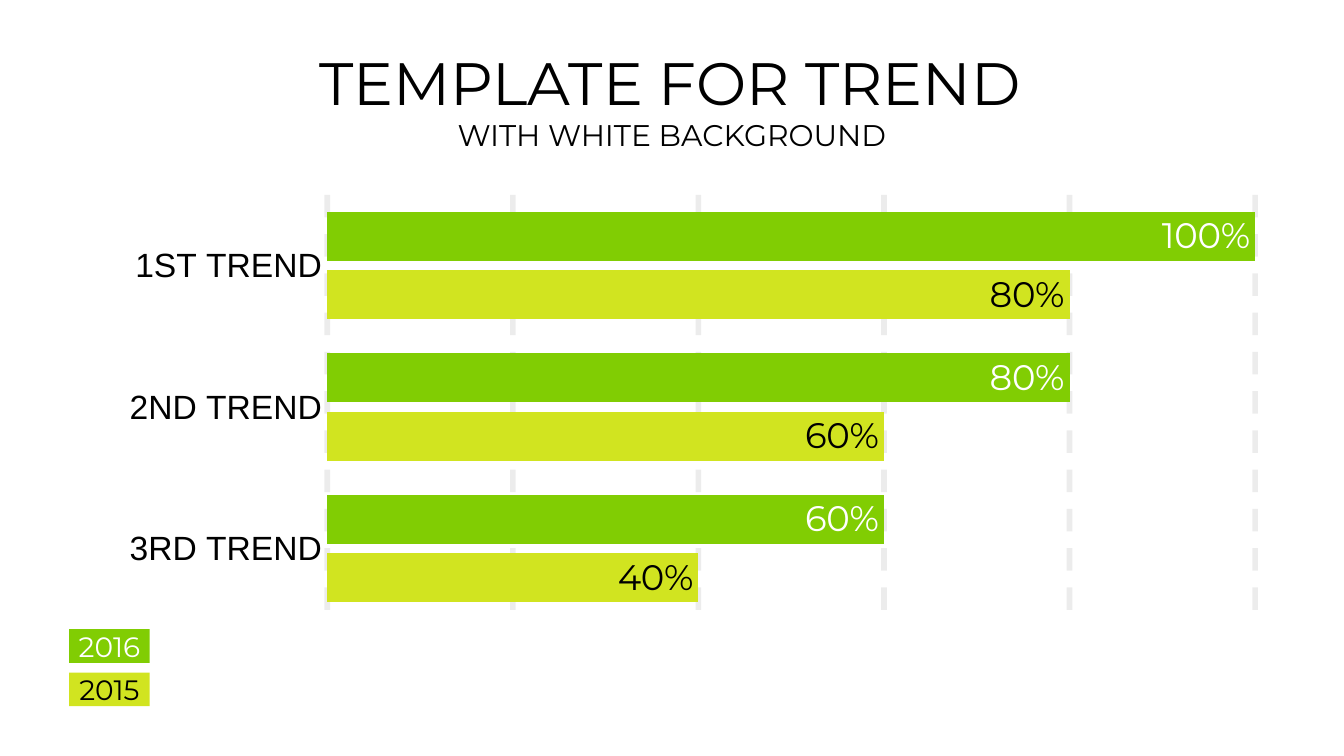
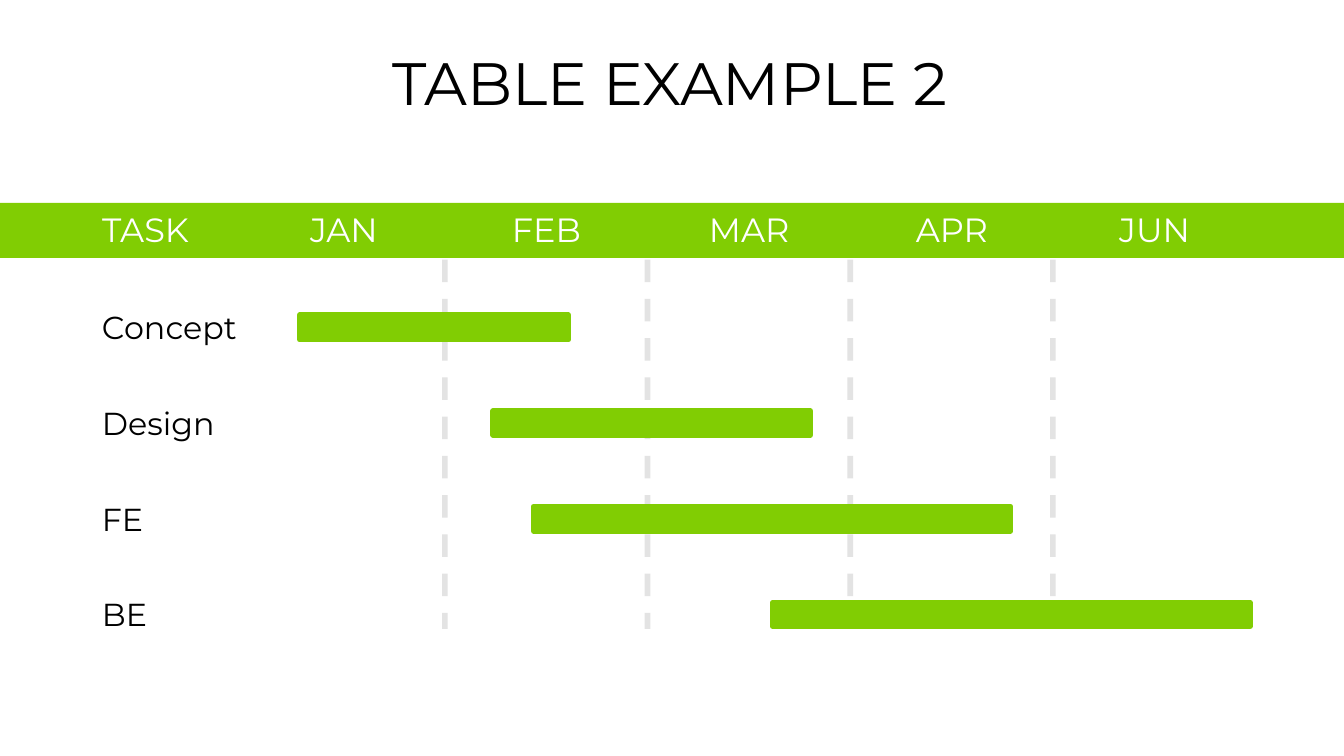
from lxml.etree import SubElement as Sub
from pptx import Presentation
from pptx.chart.data import CategoryChartData as Data
from pptx.dml.color import RGBColor
from pptx.enum.chart import XL_CHART_TYPE as Kind, XL_LABEL_POSITION as Spot
from pptx.enum.chart import XL_TICK_MARK as Tick
from pptx.enum.dml import MSO_LINE as Dash
from pptx.enum.shapes import MSO_CONNECTOR as Link, MSO_SHAPE as Form
from pptx.enum.text import MSO_ANCHOR as Anchor, PP_ALIGN as Align
from pptx.oxml.ns import qn
from pptx.util import Inches, Pt

GREEN = RGBColor(0x81, 0xCD, 0x03)
LIME = RGBColor(0xD1, 0xE4, 0x20)
GREY = RGBColor(0x59, 0x59, 0x59)
BLACK = RGBColor(0, 0, 0)
WHITE = RGBColor(255, 255, 255)
FONT, PLAIN = "Montserrat", "Arial"
CELL = 0.1  # inches per grid column and row
COLS, ROWS = 100, 56.25
NO_GRID = "{2D5ABB26-0587-4C30-8999-92F81FD0307C}"  # table style without lines


def grid(*cells):
    return [Inches(n * CELL) for n in cells]


def style(font, size, color, name=FONT):
    font.size, font.name, font.bold = Pt(size), name, False
    font.color.rgb = color


def write(frame, text, size=18, color=BLACK, align=Align.LEFT, space=None):
    para = frame.paragraphs[0]
    para.text, para.alignment = text, align
    para.line_spacing = space
    style(para.runs[0].font, size, color)


def dash(line, root, alpha):
    """Make a line grey, dashed and see-through; root is the XML around it."""
    line.color.rgb, line.width = GREY, Pt(3)
    line.dash_style = Dash.DASH
    for color in root.iter(qn("a:srgbClr")):
        Sub(color, qn("a:alpha"), val=str(alpha * 1000))


class Deck:
    def __init__(self):
        self.pres = Presentation()
        self.pres.slide_width, self.pres.slide_height = grid(COLS, ROWS)

    def slide(self, title):
        page = self.pres.slides.add_slide(self.pres.slide_layouts[6])
        self.shapes = page.shapes
        self.text(title, 6.3, 4.45, 87.1, 2.9, pad=0, size=32,
                  align=Align.CENTER, space=0.8)

    def text(self, text, x, y, w, h, pad=1, anchor=Anchor.TOP, **form):
        frame = self.shapes.add_textbox(*grid(x, y, w, h)).text_frame
        frame.word_wrap, frame.vertical_anchor = True, anchor
        frame.margin_left, frame.margin_right = grid(pad, pad)
        frame.margin_top, frame.margin_bottom = grid(pad / 2, pad / 2)
        write(frame, text, **form)

    def block(self, x, y, w, h, fill=GREEN, edge=None):
        """Add a rectangle; an edge width gives it softly rounded corners."""
        box = self.shapes.add_shape(Form.RECTANGLE, *grid(x, y, w, h))
        box.shadow.inherit = False
        box.fill.solid()
        box.fill.fore_color.rgb = fill
        if edge:
            box.line.color.rgb, box.line.width = fill, Pt(edge)
            Sub(next(box.element.iter(qn("a:ln"))), qn("a:round"))
        else:
            box.line.fill.background()
        return box

    def chip(self, text, x, y, fill, color):
        frame = self.block(x, y, 6, 2.5, fill).text_frame
        frame.margin_left, frame.margin_right = grid(0.2, 0.2)
        frame.margin_top = frame.margin_bottom = 0
        frame.word_wrap = False
        write(frame, text, size=15, color=color, align=Align.CENTER)

    def rule(self, x, top, end):
        line = self.shapes.add_connector(Link.STRAIGHT, *grid(x, top, x, end))
        Sub(line.element.spPr, qn("a:effectLst"))
        dash(line.line, line.element.spPr, 17)

    def heads(self, names, x, y, h, first, rest):
        """Add a one-row table that labels the columns below it."""
        span = first + rest * (len(names) - 1)
        table = self.shapes.add_table(1, len(names), *grid(x, y, span, h)).table
        table.first_row = table.horz_banding = False
        next(table._tbl.iter(qn("a:tableStyleId"))).text = NO_GRID
        for i, name in enumerate(names):
            table.columns[i].width = grid(rest if i else first)[0]
            cell = table.cell(0, i)
            cell.fill.background()
            cell.vertical_anchor = Anchor.MIDDLE
            write(cell.text_frame, name, color=WHITE,
                  align=Align.CENTER if i else Align.LEFT)

    def bars(self, cats, series, x, y, w, h, plot):
        """Add a bar chart; plot holds the inner area as shares of the chart."""
        data = Data()
        data.categories = cats
        for name, vals, *_ in series:
            data.add_series(name, vals)
        chart = self.shapes.add_chart(
            Kind.BAR_CLUSTERED, *grid(x, y, w, h), data).chart
        chart.has_legend = chart.has_title = False
        style(chart.font, 19, WHITE, PLAIN)
        group = chart.plots[0]
        group.gap_width, group.overlap = 70, -20
        group.vary_by_categories = False
        for row, (_, _, fill, color) in zip(group.series, series):
            row.format.fill.solid()
            row.format.fill.fore_color.rgb = fill
            tags = row.data_labels
            tags.show_value, tags.position = True, Spot.INSIDE_END
            tags.number_format = 'General"%"'
            tags.number_format_is_linked = False
            style(tags.font, 19, color)

        side, base = chart.category_axis, chart.value_axis
        side.reverse_order = True
        side.major_tick_mark = side.minor_tick_mark = Tick.NONE
        side.format.line.fill.background()
        style(side.tick_labels.font, 18, BLACK, PLAIN)
        base.minimum_scale, base.maximum_scale, base.major_unit = 0, 100, 20
        base.has_major_gridlines, base.visible = True, False
        line = base.major_gridlines.format.line
        dash(line, next(chart.element.iter(qn("c:majorGridlines"))), 11)
        self.place(chart, plot)

    def place(self, chart, plot):
        area = next(chart.element.iter(qn("c:plotArea")))
        for old in area.findall(qn("c:layout")):
            area.remove(old)
        frame = Sub(area, qn("c:layout"))
        area.insert(0, frame)
        inner = Sub(frame, qn("c:manualLayout"))
        parts = [("layoutTarget", "inner"), ("xMode", "edge"), ("yMode", "edge")]
        for tag, val in parts + list(zip("xywh", plot)):
            Sub(inner, qn("c:" + tag), val=str(val))


def trend(deck):
    deck.slide("TEMPLATE FOR TREND")
    deck.text("WITH WHITE BACKGROUND", 3.95, 8.2, 92.1, 3.6, pad=0, size=16,
              anchor=Anchor.MIDDLE, align=Align.CENTER)
    deck.bars(["1ST TREND", "2ND TREND", "3RD TREND"],
              [("Series 1", (100, 80, 60), GREEN, WHITE),
               ("Series 2", (80, 60, 40), LIME, BLACK)],
              -1.68, 11.84, 102.9, 44.42, plot=(0.253, 0.06, 0.671, 0.711))
    deck.chip("2015", 5.15, 50.05, LIME, BLACK)
    deck.chip("2016", 5.15, 46.82, GREEN, WHITE)


def plan(deck):
    left, top, month, step = 6.6, 15.1, 15.08, 7.12
    deck.slide("TABLE EXAMPLE 2")
    deck.block(0, top, COLS, 4.1)
    deck.heads(["TASK", "JAN", "FEB", "MAR", "APR", "JUN"],
               left, top, 4.1, first=11.45, rest=month)
    for i in range(4):
        deck.rule(33.1 + i * month, 19.32, 46.8)
    tasks = [("Concept", 12.9, 22.3, 20), ("Design", 10.9, 36.7, 23.6),
             ("FE", 5.3, 39.7, 35.5), ("BE", 5.6, 57.5, 35.5)]
    for i, (name, wide, start, span) in enumerate(tasks):
        y = 23.46 + i * step
        deck.block(start, y, span, 1.8, edge=3)
        deck.text(name, left, y - 1.03, wide, 3.9, size=17)


def main():
    deck = Deck()
    trend(deck)
    plan(deck)
    deck.pres.save("out.pptx")


if __name__ == "__main__":
    main()
